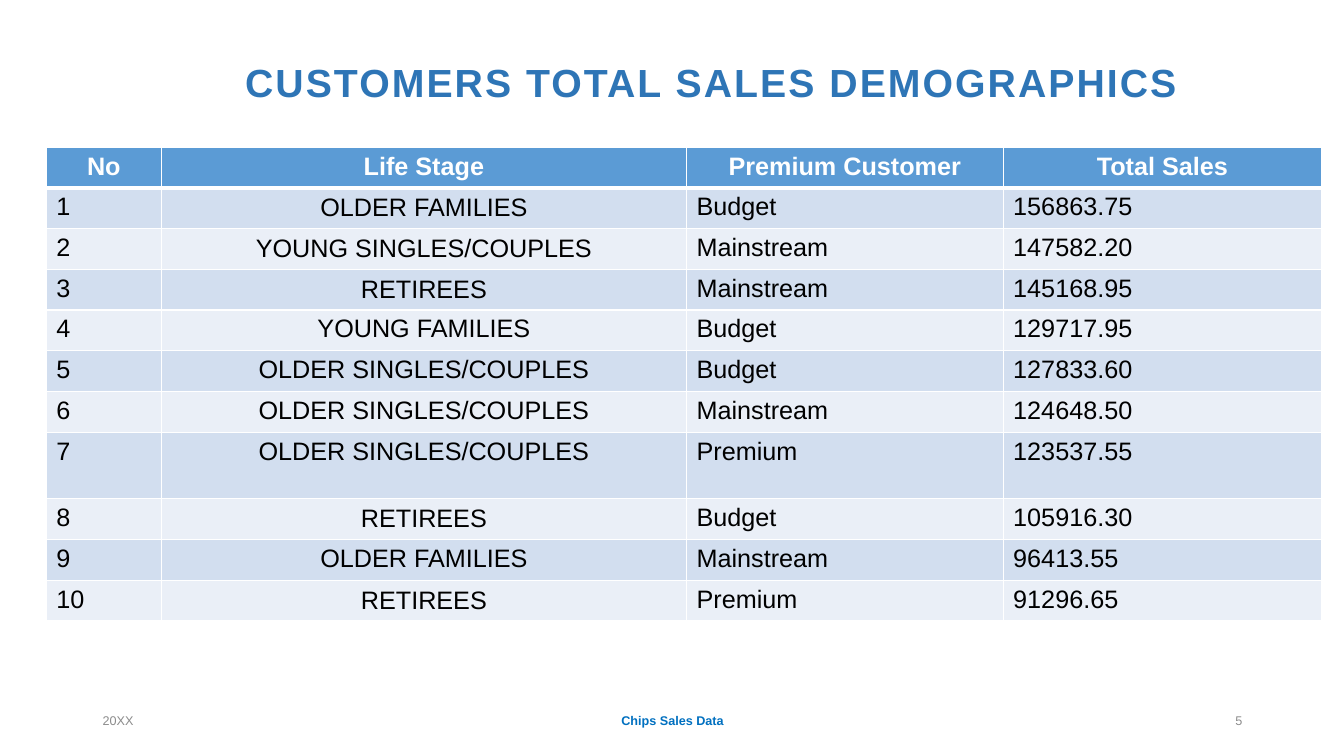
from dataclasses import dataclass

from lxml.etree import SubElement
from pptx import Presentation
from pptx.dml.color import RGBColor as RGB
from pptx.enum.text import MSO_ANCHOR as Anchor, PP_ALIGN as Align
from pptx.oxml.ns import qn
from pptx.util import Inches, Pt


@dataclass(frozen=True)
class Theme:
    """Colours, font and type sizes of the deck."""
    font: str = "Arial"
    title: str = "2E75B6"
    accent: str = "0070C0"
    muted: str = "8C8C8C"
    header: str = "5B9BD5"
    bands: tuple = ("D2DEEF", "EAEFF7")
    white: str = "FFFFFF"
    black: str = "000000"
    title_size: int = 28
    body_size: int = 18
    footer_size: int = 9


T = Theme()
TITLE_BOX = (1.7, 0.4, 10.71, 0.89)
TABLE_BOX = (0.46, 1.46, 12.65, 4.7)
FOOTER_BOX = (0.92, 6.95, 11.5, 0.4)
COLUMNS = {"No": 1.14, "Life Stage": 5.21, "Premium Customer": 3.14, "Total Sales": 3.16}
TALL_ROW, TALL_HEIGHT = 7, 0.66
MIDDLE_ROWS = {1, 2, 3, 8, 10}
SALES = [
    ("OLDER FAMILIES", "Budget", "156863.75"),
    ("YOUNG SINGLES/COUPLES", "Mainstream", "147582.20"),
    ("RETIREES", "Mainstream", "145168.95"),
    ("YOUNG FAMILIES", "Budget", "129717.95"),
    ("OLDER SINGLES/COUPLES", "Budget", "127833.60"),
    ("OLDER SINGLES/COUPLES", "Mainstream", "124648.50"),
    ("OLDER SINGLES/COUPLES", "Premium", "123537.55"),
    ("RETIREES", "Budget", "105916.30"),
    ("OLDER FAMILIES", "Mainstream", "96413.55"),
    ("RETIREES", "Premium", "91296.65"),
]


def write(tf, text, size, color, bold=False, align=Align.LEFT):
    """Put one formatted run in a text frame and return its paragraph and run."""
    p = tf.paragraphs[0]
    p.alignment = align
    r = p.add_run()
    r.text = text
    for name, value in {"name": T.font, "size": Pt(size), "bold": bold}.items():
        setattr(r.font, name, value)
    r.font.color.rgb = RGB.from_string(color)
    return p, r


def add_text(s, box, *args, **kwargs):
    """Add a wrapped, vertically centred text box."""
    tf = s.shapes.add_textbox(*map(Inches, box)).text_frame
    for name, value in {"word_wrap": True, "vertical_anchor": Anchor.MIDDLE}.items():
        setattr(tf, name, value)
    return write(tf, *args, **kwargs)


def set_borders(cell, widths):
    """Draw white cell borders with a width in points for each side."""
    tc_pr = cell._tc.get_or_add_tcPr()
    for side, width in widths.items():
        ln = SubElement(tc_pr, qn(f"a:ln{side}"), w=str(Pt(width)))
        SubElement(SubElement(ln, qn("a:solidFill")), qn("a:srgbClr"), val=T.white)


def add_title(s, box):
    """Add the slide title."""
    p, r = add_text(s, box, "CUSTOMERS TOTAL SALES DEMOGRAPHICS", T.title_size, T.title,
                    bold=True, align=Align.CENTER)
    p.line_spacing = 0.9
    r.font._element.set("spc", "150")


def add_sales_table(s, box):
    """Add the banded sales table, sharing the height left by the tall row."""
    rows = [tuple(COLUMNS)] + [(str(i), *sale) for i, sale in enumerate(SALES, 1)]
    table = s.shapes.add_table(len(rows), len(COLUMNS), *map(Inches, box)).table
    for col, width in zip(table.columns, COLUMNS.values()):
        col.width = Inches(width)
    height = (box[3] - TALL_HEIGHT) / (len(rows) - 1)
    for i, row in enumerate(rows):
        head = i == 0
        table.rows[i].height = Inches(TALL_HEIGHT if i == TALL_ROW else height)
        for j, text in enumerate(row):
            cell = table.cell(i, j)
            stage = j == 1
            set_borders(cell, {"L": 1, "R": 1, "T": 3 if i == 1 else 1, "B": 3 if head else 1})
            cell.fill.solid()
            cell.fill.fore_color.rgb = RGB.from_string(T.header if head else T.bands[(i - 1) % 2])
            cell.vertical_anchor = Anchor.MIDDLE if stage and i in MIDDLE_ROWS else Anchor.TOP
            write(cell.text_frame, text, T.body_size, T.white if head else T.black, bold=head,
                  align=Align.CENTER if head or stage else Align.LEFT)


def add_footer(s, box):
    """Add the date, deck name and page number along the foot."""
    x, y, w, h = box
    side, middle = 3, 4.5
    parts = [
        (x, side, "20XX", T.muted, False, Align.LEFT),
        (x + (w - middle) / 2, middle, "Chips Sales Data", T.accent, True, Align.CENTER),
        (x + w - side, side, "5", T.muted, False, Align.RIGHT),
    ]
    for left, width, text, color, bold, align in parts:
        add_text(s, (left, y, width, h), text, T.footer_size, color, bold, align)


def build():
    """Build and save the slide."""
    prs = Presentation()
    prs.slide_width, prs.slide_height = Inches(13.33), Inches(7.5)
    s = prs.slides.add_slide(prs.slide_layouts[6])
    add_title(s, TITLE_BOX)
    add_footer(s, FOOTER_BOX)
    add_sales_table(s, TABLE_BOX)
    prs.save("out.pptx")


build()
